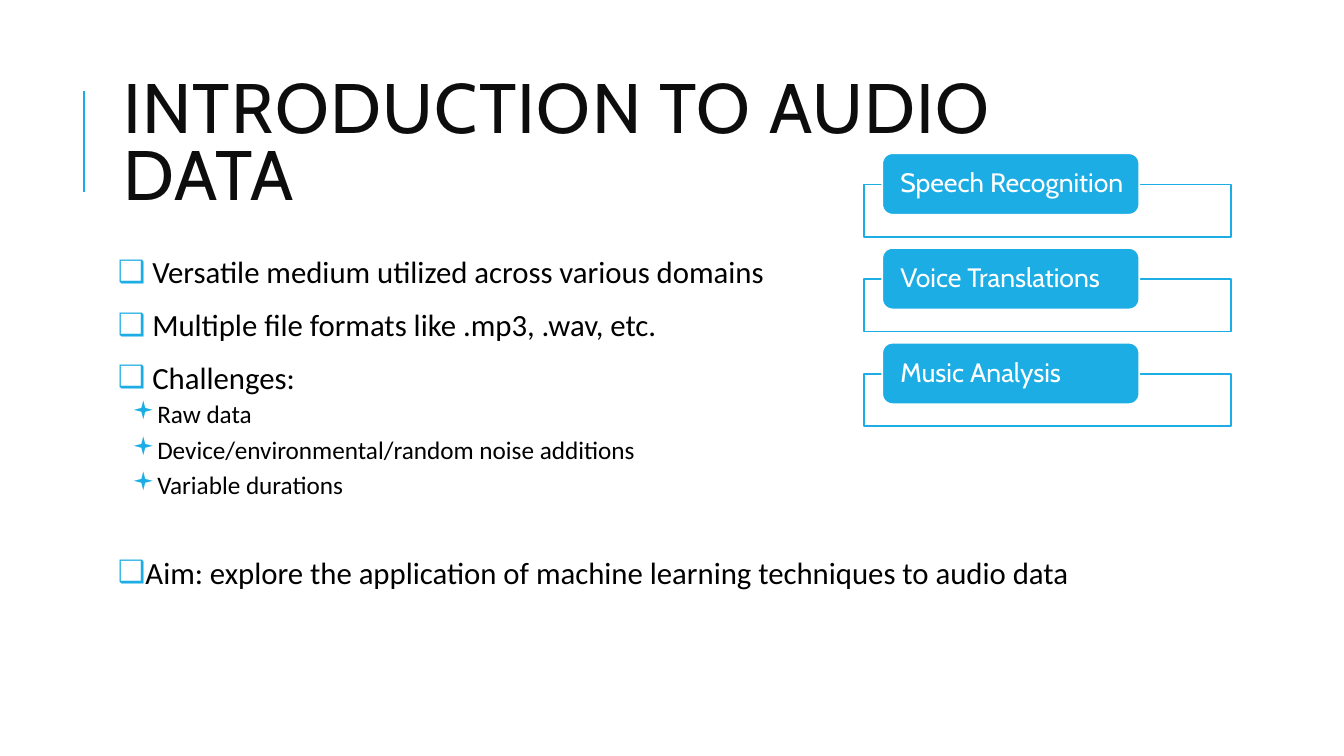
from lxml.etree import SubElement
from pptx import Presentation
from pptx.dml.color import RGBColor
from pptx.enum.shapes import MSO_CONNECTOR, MSO_SHAPE
from pptx.enum.text import MSO_ANCHOR, MSO_AUTO_SIZE, PP_ALIGN
from pptx.oxml.ns import qn
from pptx.util import Inches, Pt

TITLE = "INTRODUCTION TO AUDIO DATA"
# text, kind of point
POINTS = [
    ("Versatile medium utilized across various domains", "main"),
    ("Multiple file formats like .mp3, .wav, etc.", "main"),
    ("Challenges:", "main"),
    ("Raw data", "sub"),
    ("Device/environmental/random noise additions", "sub"),
    ("Variable durations", "sub"),
    ("Aim: explore the application of machine learning techniques to audio data", "aim"),
]
USES = ["Speech Recognition", "Voice Translations", "Music Analysis"]

# level, size, space before, space after, bullet, margin, hang
KINDS = {
    "main": (0, 22, 12, 2, "❑", 0.34, 0.34),
    "sub": (1, 18, 2, 4, "▪", 0.34, 0.2),
    "aim": (0, 22, 37, 2, "❑", 0.27, 0.27),
}
COLORS = {"blue": "1CADE4", "white": "FFFFFF", "ink": "0D0D0D", "black": "000000"}

LEFT, WIDE = 1.12, 10.63
FRAME_X, FRAME_Y, FRAME_W, FRAME_H = 8.57, 1.83, 3.64, 0.52
TAB_X, TAB_Y, TAB_W, TAB_H = 8.75, 1.52, 2.55, 0.61
STEP = 0.94


def color(name):
    return RGBColor.from_string(COLORS[name])


def place(shape, *box):
    shape.left, shape.top, shape.width, shape.height = map(Inches, box)


def style(par, size, face, tone, space):
    par.alignment = PP_ALIGN.LEFT
    par.line_spacing = space
    for run in par.runs:
        run.font.size = Pt(size)
        run.font.name = face
        run.font.color.rgb = color(tone)


def bullet(par, sign, margin, hang):
    props = par._p.get_or_add_pPr()
    props.set("marL", str(Inches(margin)))
    props.set("indent", str(-Inches(hang)))
    tint = SubElement(props, qn("a:buClr"))
    SubElement(tint, qn("a:srgbClr")).set("val", COLORS["blue"])
    SubElement(props, qn("a:buFont")).set("typeface", "Wingdings" if sign == "▪" else "Calibri")
    SubElement(props, qn("a:buChar")).set("char", sign)


def block(slide, kind, box, fill, edge):
    shape = slide.shapes.add_shape(kind, *map(Inches, box))
    shape.shadow.inherit = False
    shape.fill.solid()
    shape.fill.fore_color.rgb = color(fill)
    shape.line.color.rgb = color(edge)
    shape.line.width = Pt(1.25)
    return shape


def add_title(slide):
    title = slide.shapes.title
    place(title, LEFT, 0.64, WIDE, 1.64)
    frame = title.text_frame
    frame.text = TITLE
    frame.auto_size = MSO_AUTO_SIZE.NONE
    frame.vertical_anchor = MSO_ANCHOR.MIDDLE
    par = frame.paragraphs[0]
    style(par, 50, "Cabin", "ink", 0.8)
    par.runs[0].font._element.set("spc", "100")

    rule = slide.shapes.add_connector(
        MSO_CONNECTOR.STRAIGHT, *map(Inches, (0.83, 1.9, 0.83, 0.9)))
    rule.line.color.rgb = color("blue")
    rule.line.width = Pt(1.5)
    SubElement(rule._element.spPr, qn("a:effectLst"))


def add_points(slide):
    body = slide.placeholders[1]
    place(body, LEFT, 2.5, WIDE, 4.4)
    frame = body.text_frame
    frame.auto_size = MSO_AUTO_SIZE.NONE
    frame.margin_left = frame.margin_right = Inches(0.05)
    frame.margin_top = frame.margin_bottom = Inches(0.05)
    frame.text = "\n".join(text for text, _ in POINTS)
    for par, (_, kind) in zip(frame.paragraphs, POINTS):
        level, size, before, after, sign, margin, hang = KINDS[kind]
        par.level = level
        style(par, size, "Calibri", "black", 0.9)
        par.space_before, par.space_after = Pt(before), Pt(after)
        bullet(par, sign, margin, hang)


def add_uses(slide):
    for row, use in enumerate(USES):
        drop = row * STEP
        block(slide, MSO_SHAPE.RECTANGLE,
              (FRAME_X, FRAME_Y + drop, FRAME_W, FRAME_H), "white", "blue")
        tab = block(slide, MSO_SHAPE.ROUNDED_RECTANGLE,
                    (TAB_X, TAB_Y + drop, TAB_W, TAB_H), "blue", "white")
        frame = tab.text_frame
        frame.text = use
        frame.word_wrap = True
        frame.vertical_anchor = MSO_ANCHOR.MIDDLE
        frame.margin_left = Inches(0.15)
        frame.margin_right = frame.margin_top = frame.margin_bottom = 0
        style(frame.paragraphs[0], 19, "Cabin", "white", 0.9)


def main():
    deck = Presentation()
    deck.slide_width, deck.slide_height = Inches(13.33), Inches(7.5)
    slide = deck.slides.add_slide(deck.slide_layouts[1])
    add_title(slide)
    add_points(slide)
    add_uses(slide)
    deck.save("out.pptx")


if __name__ == "__main__":
    main()
